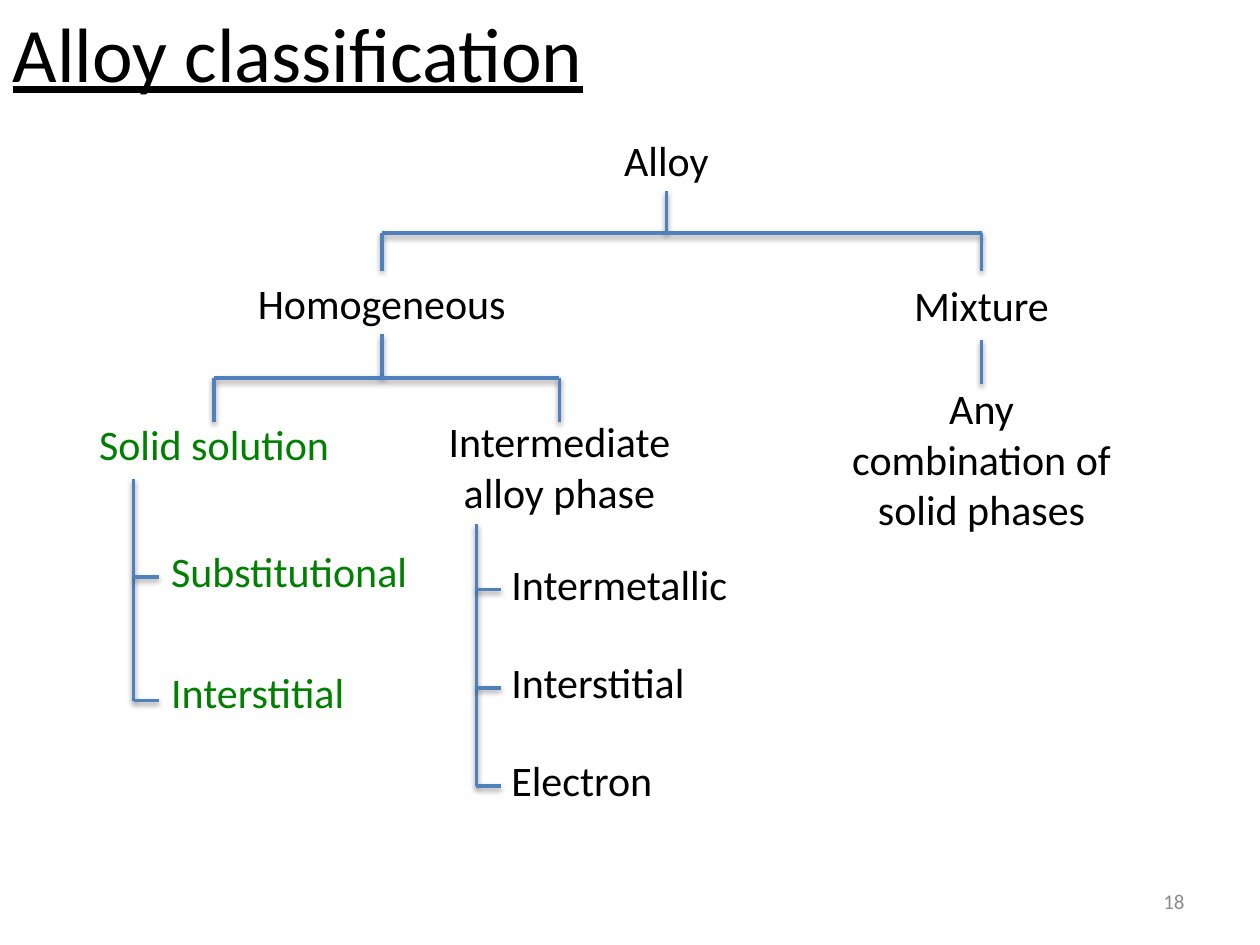
"""Build a slide with a tree of alloy classes."""
from pptx import Presentation
from pptx.dml.color import RGBColor
from pptx.enum.shapes import MSO_CONNECTOR
from pptx.enum.text import MSO_ANCHOR, MSO_AUTO_SIZE, PP_ALIGN
from pptx.util import Inches, Pt

BLACK = RGBColor(0, 0, 0)
GREEN = RGBColor(0, 128, 0)
GRAY = RGBColor(0x8C, 0x8C, 0x8C)
BLUE = RGBColor(0x4F, 0x81, 0xBD)
LEFT, MID, RIGHT = PP_ALIGN.LEFT, PP_ALIGN.CENTER, PP_ALIGN.RIGHT
TOP, HALF = MSO_ANCHOR.TOP, MSO_ANCHOR.MIDDLE
GROW, FIXED = MSO_AUTO_SIZE.SHAPE_TO_FIT_TEXT, MSO_AUTO_SIZE.NONE
STRAIGHT = MSO_CONNECTOR.STRAIGHT
FONT = "Calibri"
COLS, ROWS = 10, 7.5
WIDE, ROW = 2.4, 0.5


def write(shape, text, size=24, color=BLACK, align=LEFT, anchor=TOP,
          line=False, fit=GROW):
    """Fill a shape with formatted text."""
    frame = shape.text_frame
    frame.word_wrap = True
    frame.auto_size = fit
    frame.vertical_anchor = anchor
    para = frame.paragraphs[0]
    para.alignment = align
    run = para.add_run()
    run.text = text
    font = run.font
    font.name, font.size, font.underline = FONT, Pt(size), line
    font.color.rgb = color


class Deck:
    """Hold the style and the current slide."""

    def __init__(self):
        """Start a deck with one titled slide."""
        self.file = Presentation()
        self.file.slide_width = Inches(10)
        self.file.slide_height = Inches(7.5)
        self.col = self.file.slide_width / COLS
        self.row = self.file.slide_height / ROWS
        self.slide = self.file.slides.add_slide(self.file.slide_layouts[5])

    def scale(self, *cells):
        """Turn column and row pairs into lengths."""
        return [int(n * (self.row if i % 2 else self.col))
                for i, n in enumerate(cells)]

    def title(self, text, *box):
        """Move and fill the title placeholder."""
        shape = self.slide.shapes.title
        shape.left, shape.top, shape.width, shape.height = self.scale(*box)
        write(shape, text, size=44, line=True, fit=FIXED)

    def label(self, text, x, y, w=WIDE, h=ROW, **style):
        """Add a text box."""
        box = self.slide.shapes.add_textbox(*self.scale(x, y, w, h))
        write(box, text, **style)

    def node(self, text, mid, y, w=WIDE, h=ROW, **style):
        """Add a label centred on a column."""
        self.label(text, mid - w / 2, y, w, h, align=MID, **style)

    def line(self, *ends):
        """Add a straight branch line."""
        link = self.slide.shapes.add_connector(STRAIGHT, *self.scale(*ends))
        link.line.color.rgb = BLUE
        link.line.width = Pt(2)

    def fork(self, stem, top, bar, end, kids):
        """Split a stem into branches below a bar."""
        self.line(stem, top, stem, bar)
        self.line(kids[0], bar, kids[-1], bar)
        for kid in kids:
            self.line(kid, bar, kid, end)

    def list(self, x, top, text_x, items, **style):
        """Hang labelled ticks on a vertical line."""
        self.line(x, top, x, items[-1][1])
        for text, tick, y in items:
            self.line(x, tick, x + 0.2, tick)
            self.label(text, text_x, y, **style)


def main():
    """Draw the slide and save it."""
    deck = Deck()
    root, homo, mix, solid, phase = 5.29, 3.03, 7.79, 1.7, 4.44
    deck.title("Alloy classification", 0, -0.01, 8.5, 1.02)
    deck.node("Alloy", root, 1.02, 2.16)
    deck.fork(root, 1.52, 1.85, 2.15, (homo, mix))
    deck.node("Homogeneous", homo, 2.15)
    deck.node("Mixture", mix, 2.17)
    deck.fork(homo, 2.65, 3, 3.35, (solid, phase))
    deck.line(mix, 2.7, mix, 3.05)
    deck.node("Solid solution", solid, 3.27, color=GREEN)
    deck.node("Intermediate alloy phase", phase, 3.25, h=0.91)
    deck.node("Any combination of solid phases", mix, 2.99, h=1.31)
    deck.list(1.06, 3.8, 1.26, (("Substitutional", 4.58, 4.28),
                                ("Interstitial", 5.56, 5.24)), color=GREEN)
    names = "Intermetallic", "Interstitial", "Electron"
    deck.list(3.78, 4.16, 3.96, [(name, 4.68 + 0.78 * i, 4.38 + 0.78 * i)
                                 for i, name in enumerate(names)])
    deck.label("18", 7.17, 6.95, 2.33, 0.4, size=12, color=GRAY,
               align=RIGHT, anchor=HALF, fit=FIXED)
    deck.file.save("out.pptx")


if __name__ == "__main__":
    main()
